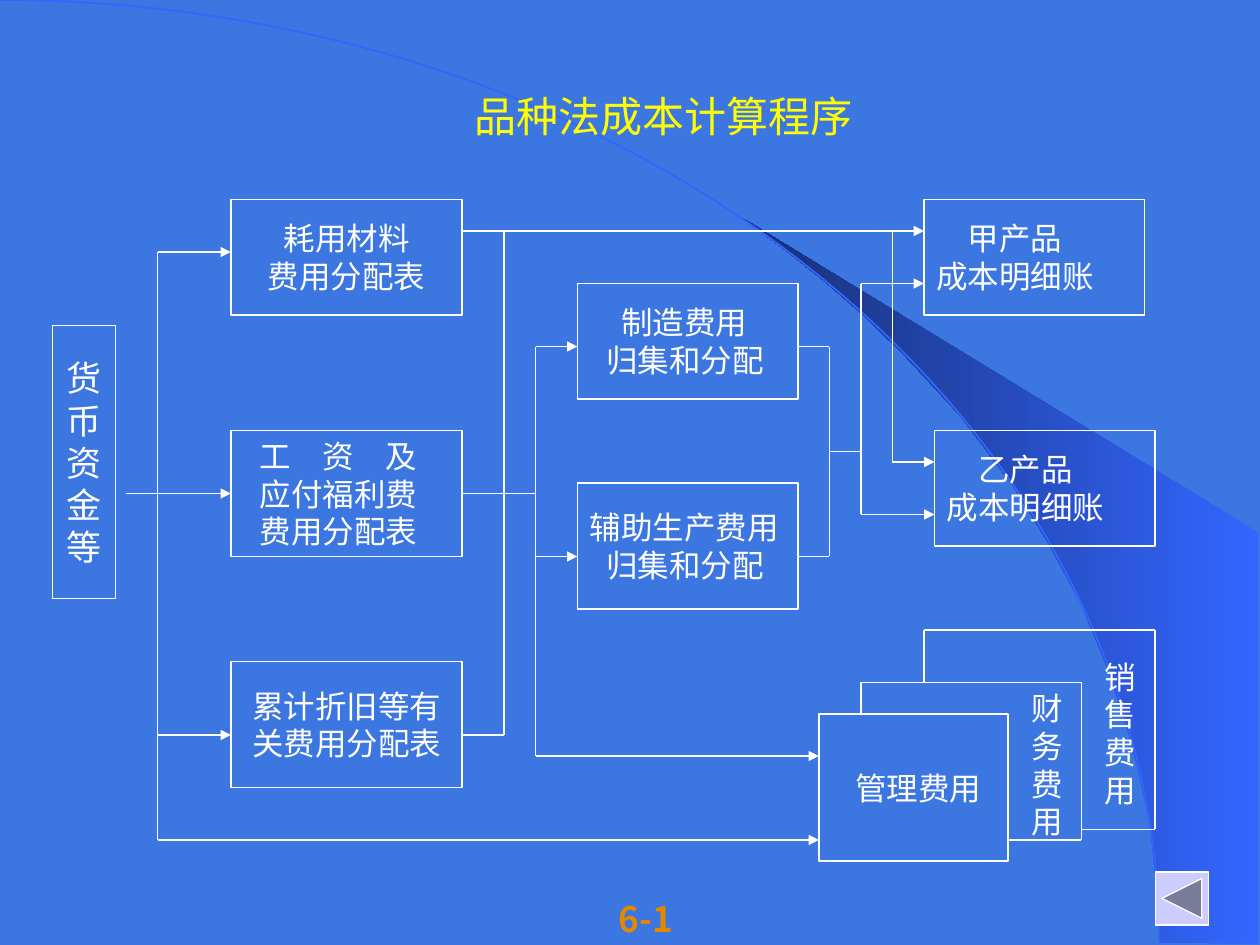
import dataclasses
import itertools

import lxml.etree
import pptx
import pptx.dml.color
import pptx.enum.shapes
import pptx.enum.text
import pptx.oxml.ns
import pptx.util

Inches = pptx.util.Inches
Pt = pptx.util.Pt
Shape = pptx.enum.shapes.MSO_SHAPE
Align = pptx.enum.text.PP_ALIGN
Anchor = pptx.enum.text.MSO_ANCHOR
Fit = pptx.enum.text.MSO_AUTO_SIZE
rgb = pptx.dml.color.RGBColor.from_string
qn = pptx.oxml.ns.qn
UNIT = 1 / 12  # grid step in inches


@dataclasses.dataclass(frozen=True)
class Theme:
    back: str = "3B76E1"
    line: str = "FFFFFF"
    text: str = "FFFFFF"
    title: str = "FFFF00"
    page: str = "E48800"
    arc: str = "3366FF"
    dark: str = "172F75"
    button: str = "CCCCFF"
    font: str = "Times New Roman"
    sans: str = "Noto Sans CJK SC"
    head: int = 24
    large: int = 20
    body: int = 18
    thin: float = 0.75


@dataclasses.dataclass(frozen=True)
class Box:
    """A rectangle in inches."""
    x: float
    y: float
    w: float
    h: float

    def cell(self, col, row, w, h):
        """Return a box at a grid offset, its size in grid steps."""
        return Box(self.x + col * UNIT, self.y + row * UNIT, w * UNIT, h * UNIT)

    def inner(self, dx, dy, w, h):
        """Return a box at an offset in inches."""
        return Box(self.x + dx, self.y + dy, w, h)

    def frame(self):
        return [Inches(v) for v in (self.x, self.y, self.w, self.h)]


THEME = Theme()
PAGE = Box(0, 0, 10, 7.5)


def write(frame, lines, size=THEME.body, color=THEME.text, font=THEME.font,
          bold=False, align=Align.LEFT, indents=()):
    """Fill a text frame; indents are inches, one for each line."""
    for i, (line, indent) in enumerate(
            itertools.zip_longest(lines, indents, fillvalue=0)):
        para = frame.paragraphs[0] if i == 0 else frame.add_paragraph()
        para.alignment = align
        if indent:
            para._p.get_or_add_pPr().set("marL", str(Inches(indent)))
        run = para.add_run()
        run.text = line
        run.font.size = Pt(size)
        run.font.name = font
        run.font.bold = bold
        run.font.color.rgb = rgb(color)


def label(slide, box, lines, wrap=False, **style):
    frame = slide.shapes.add_textbox(*box.frame()).text_frame
    frame.word_wrap = wrap
    frame.auto_size = Fit.SHAPE_TO_FIT_TEXT
    write(frame, lines, **style)


def stroke(line, color=THEME.line, width=THEME.thin):
    line.color.rgb = rgb(color)
    line.width = Pt(width)


def node(slide, box, lines, **style):
    shape = slide.shapes.add_shape(Shape.RECTANGLE, *box.frame())
    shape.shadow.inherit = False
    shape.fill.background()
    stroke(shape.line)
    shape.text_frame.word_wrap = True
    shape.text_frame.vertical_anchor = Anchor.MIDDLE
    write(shape.text_frame, lines, **style)


def route(slide, box, points, arrow=False):
    """Join grid points with straight lines, the last with an arrowhead if asked."""
    spots = [(Inches(box.x + c * UNIT), Inches(box.y + r * UNIT)) for c, r in points]
    for start, end in itertools.pairwise(spots):
        link = slide.shapes.add_connector(
            pptx.enum.shapes.MSO_CONNECTOR.STRAIGHT, *start, *end)
        stroke(link.line)
        lxml.etree.SubElement(link._element.spPr, qn("a:effectLst"))
    if arrow:
        lxml.etree.SubElement(link.line._get_or_add_ln(), qn("a:tailEnd"), type="triangle")


def backdrop(slide, box):
    slide.background.fill.solid()
    slide.background.fill.fore_color.rgb = rgb(THEME.back)
    edge = [(9.2, 7.48), (9.99, 7.49), (9.99, 4.23), (5.89, 1.73), (6.24, 1.99),
            (6.53, 2.22), (6.85, 2.5), (7.16, 2.8), (7.62, 3.3), (8.03, 3.84),
            (8.32, 4.31), (8.58, 4.79), (8.78, 5.28), (8.93, 5.72), (9.03, 6.09),
            (9.13, 6.56), (9.17, 6.96)]
    spots = [(Inches(box.x + x), Inches(box.y + y)) for x, y in edge]
    pen = slide.shapes.build_freeform(*spots[0], scale=1.0)
    pen.add_line_segments(spots[1:], close=True)
    wedge = pen.convert_to_shape()
    wedge.shadow.inherit = False
    wedge.line.fill.background()
    wedge.fill.gradient()
    wedge.fill.gradient_angle = 180
    for stop, color in zip(wedge.fill.gradient_stops, (THEME.arc, THEME.dark)):
        stop.color.rgb = rgb(color)
    arc = slide.shapes.add_shape(Shape.ARC, *box.inner(-9.2, 0, 18.4, 14.97).frame())
    arc.shadow.inherit = False
    arc.fill.background()
    stroke(arc.line, THEME.arc, 1)


def sources(slide, box):
    """Place the funds box and the three allocation tables."""
    node(slide, box.cell(17, 0, 22, 11), ["耗用材料", "费用分配表"], align=Align.CENTER)
    node(slide, box.cell(17, 22, 22, 12), ["工　资　及", "应付福利费", "费用分配表"],
         indents=[0.13] * 3)
    node(slide, box.cell(17, 44, 22, 12), ["累计折旧等有", "关费用分配表"],
         align=Align.CENTER)
    node(slide, box.cell(0, 12, 6, 26), "货币资金等", size=THEME.large,
         align=Align.CENTER)


def pools(slide, box):
    node(slide, box.cell(0, 0, 21, 11), ["制造费用", "归集和分配"], indents=[0.25, 0.13])
    node(slide, box.cell(0, 19, 21, 12), ["辅助生产费用", "归集和分配"], indents=[0, 0.13])


def ledgers(slide, box):
    for i, name in enumerate(["甲产品", "乙产品"]):
        node(slide, box.cell(i, 22 * i, 21, 11), [name, "成本明细账"], indents=[0.25, 0])


def expenses(slide, box):
    """Place the three overlapping period expense cards."""
    node(slide, box.cell(0, 8, 18, 14), ["管理费用"], indents=[0.19])
    route(slide, box, [(18, 20), (25, 20), (25, 5), (4, 5), (4, 8)])
    route(slide, box, [(10, 5), (10, 0), (32, 0), (32, 19), (25, 19)])
    label(slide, box.inner(1.59, 0.42, 0.45, 1.3), "财务费用")
    label(slide, box.inner(2.17, 0.17, 0.45, 1.3), "销售费用")


def links(slide, box):
    arrows = [
        [(12, 47), (22, 47)], [(15, 24), (22, 24)], [(15, 70), (22, 70)],
        [(15, 24), (15, 80), (78, 80)], [(44, 22), (88, 22)],
        [(51, 33), (55, 33)], [(51, 53), (55, 53)], [(51, 33), (51, 72), (78, 72)],
        [(82, 49), (82, 27), (88, 27)], [(82, 49), (89, 49)],
        [(85, 22), (85, 44), (89, 44)]]
    plain = [
        [(44, 70), (48, 70), (48, 22)], [(44, 47), (51, 47)],
        [(76, 33), (79, 33), (79, 53), (76, 53)], [(79, 43), (82, 43)]]
    for points in arrows:
        route(slide, box, points, arrow=True)
    for points in plain:
        route(slide, box, points)


def footer(slide, box):
    label(slide, box.inner(0, 0.15, 1.25, 0.44), ["6-1"], wrap=True, size=THEME.large,
          color=THEME.page, font=THEME.sans, bold=True, align=Align.CENTER)
    button = slide.shapes.add_shape(Shape.ACTION_BUTTON_BACK_OR_PREVIOUS,
                                    *box.inner(4.67, 0, 0.42, 0.42).frame())
    button.shadow.inherit = False
    button.fill.solid()
    button.fill.fore_color.rgb = rgb(THEME.button)
    stroke(button.line)


def main():
    deck = pptx.Presentation()
    deck.slide_width, deck.slide_height = Inches(PAGE.w), Inches(PAGE.h)
    slide = deck.slides.add_slide(deck.slide_layouts[6])
    backdrop(slide, PAGE)
    label(slide, Box(3.67, 0.67, 3.2, 0.5), ["品种法成本计算程序"],
          size=THEME.head, color=THEME.title)
    sources(slide, PAGE.cell(5, 19, 39, 56))
    pools(slide, PAGE.cell(55, 27, 21, 31))
    ledgers(slide, PAGE.cell(88, 19, 22, 33))
    links(slide, PAGE)
    expenses(slide, PAGE.cell(78, 60, 32, 22))
    footer(slide, Box(4.5, 6.92, 5.09, 0.58))
    deck.save("out.pptx")


if __name__ == "__main__":
    main()
